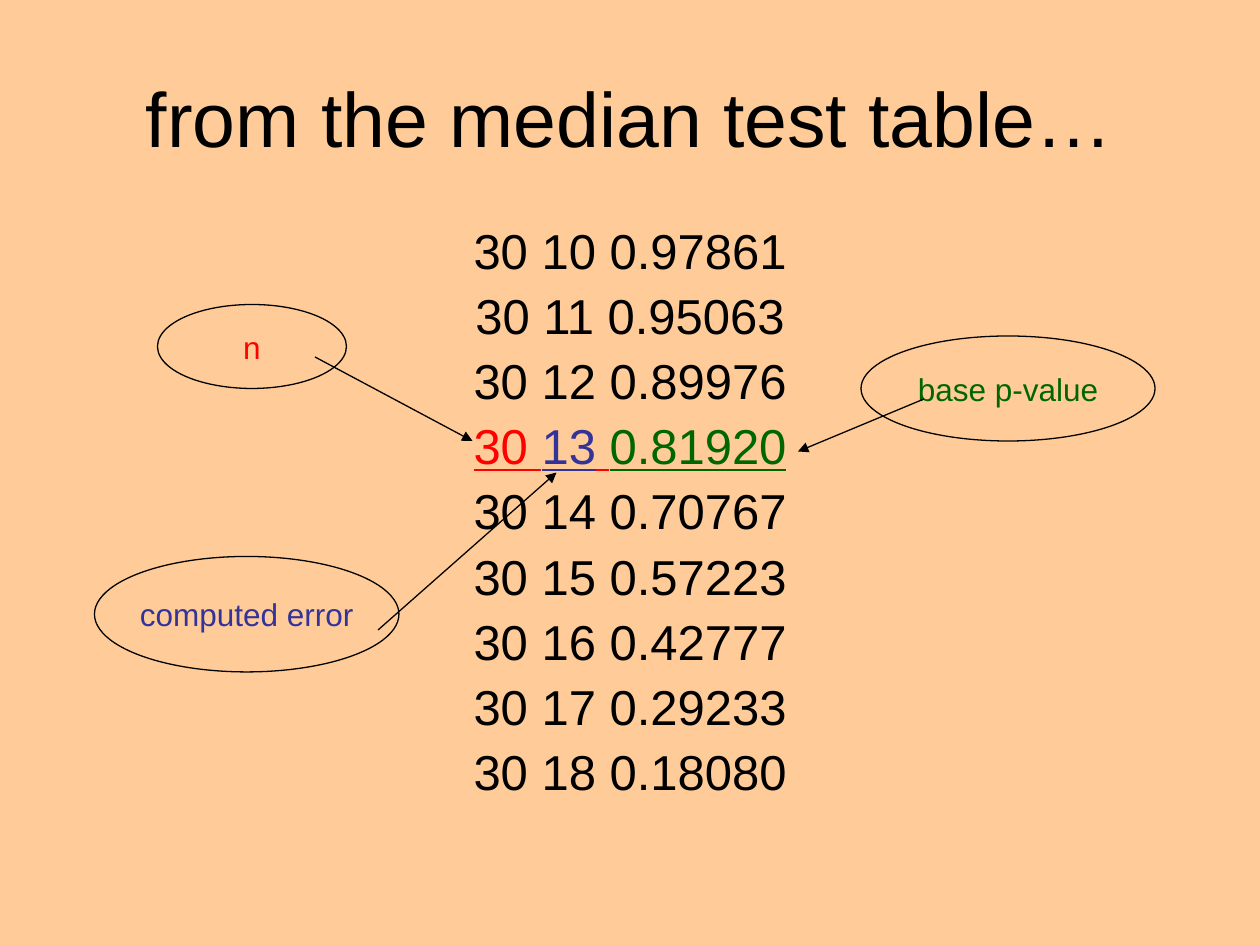
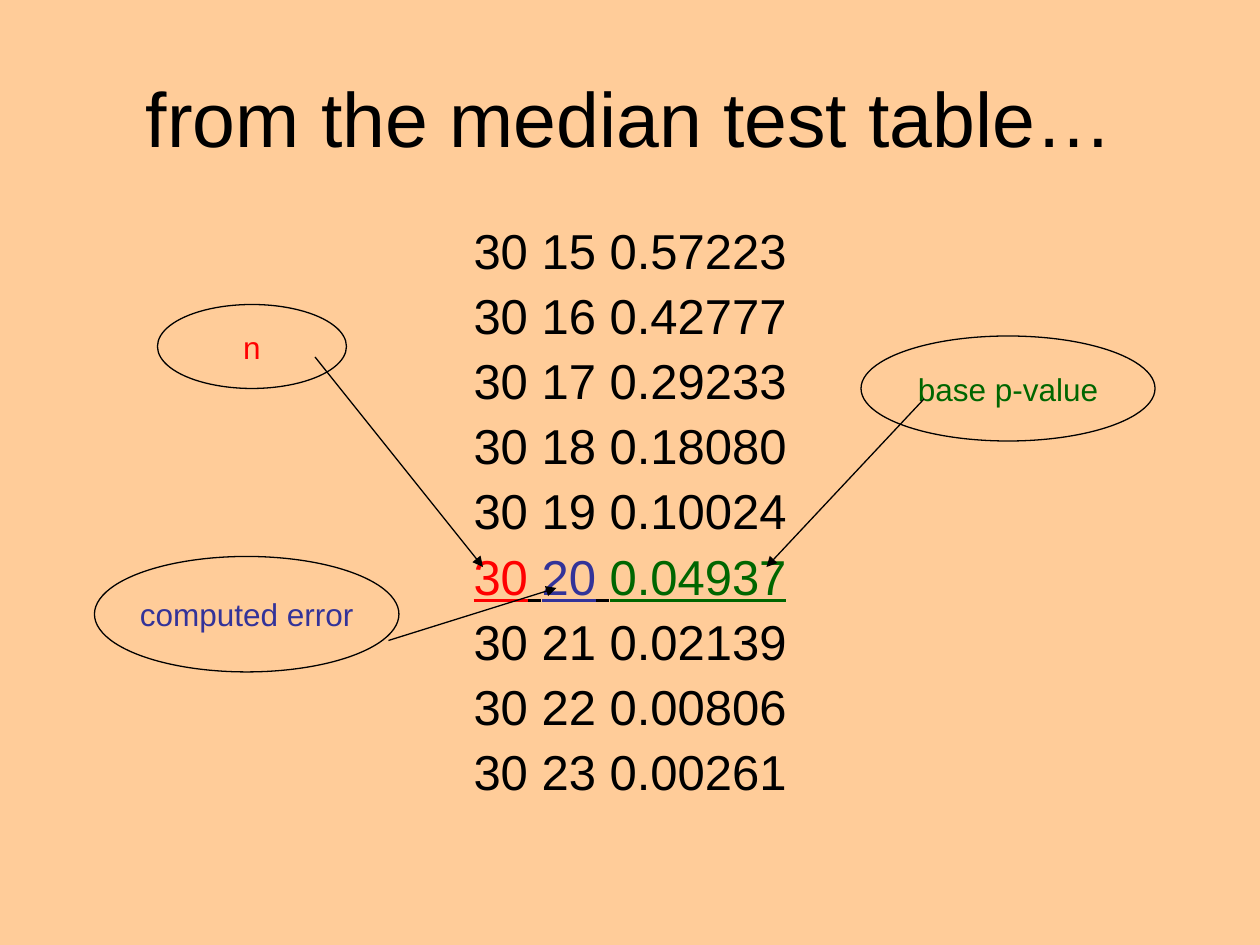
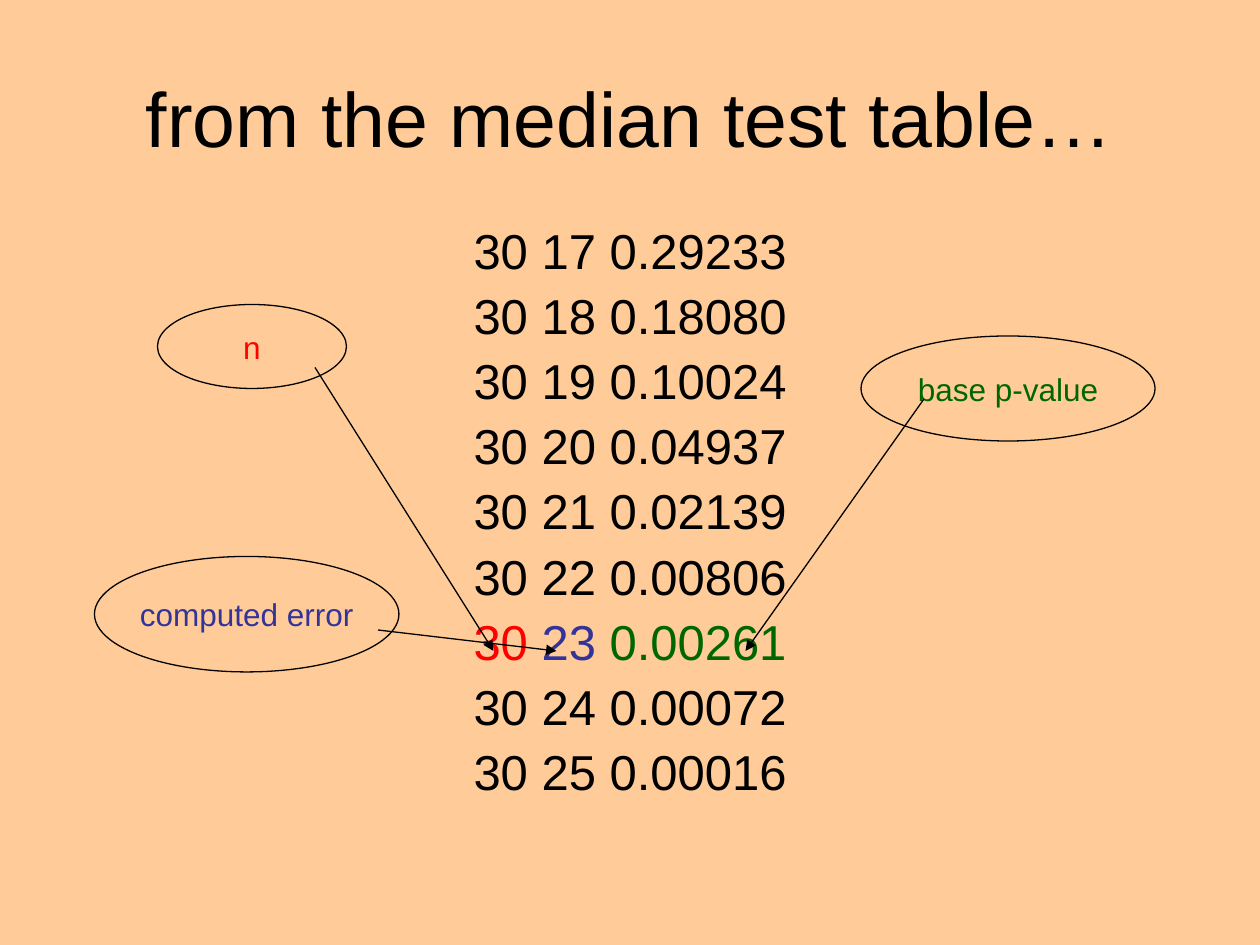
"""Build three slides that read p-values from the median test table."""
import pptx
import pptx.dml.color
import pptx.enum.shapes
import pptx.enum.text
import pptx.oxml.ns
import pptx.util
from lxml import etree

Pt = pptx.util.Pt
RGBColor = pptx.dml.color.RGBColor
ALIGN = pptx.enum.text.PP_ALIGN
ANCHOR = pptx.enum.text.MSO_ANCHOR

PEACH = RGBColor(0xFF, 0xCC, 0x99)
BLACK = RGBColor(0x00, 0x00, 0x00)
RED = RGBColor(0xFF, 0x00, 0x00)
INDIGO = RGBColor(0x33, 0x33, 0x99)
GREEN = RGBColor(0x00, 0x66, 0x00)

SAMPLE_SIZE = "30"
ROWS_SHOWN = 9
FIRST_ERROR = 10
P_VALUES = [
    "0.97861", "0.95063", "0.89976", "0.81920", "0.70767", "0.57223",
    "0.42777", "0.29233", "0.18080", "0.10024", "0.04937", "0.02139",
    "0.00806", "0.00261", "0.00072", "0.00016",
]

CALLOUTS = [
    ("n", RED, (90, 174, 108, 48)),
    ("computed error", INDIGO, (54, 318, 174, 66)),
    ("base p-value", GREEN, (492, 192, 168, 60)),
]

SLIDES = [
    {"first": 10, "chosen": 13, "underline": True, "gap_color": RED,
     "arrows": [(180, 204, 270, 252), (216, 360, 318, 270), (528, 228, 456, 258)]},
    {"first": 15, "chosen": 20, "underline": True, "gap_color": BLACK,
     "arrows": [(180, 204, 276, 324), (222, 366, 318, 336), (528, 228, 438, 324)]},
    {"first": 17, "chosen": 23, "underline": False, "gap_color": BLACK,
     "arrows": [(180, 210, 282, 372), (216, 360, 318, 372), (528, 228, 426, 372)]},
]


def add_span(para, text, *, size, color=BLACK, underline=False):
    """Add a formatted run of text to a paragraph."""
    span = para.add_run()
    span.text = text
    span.font.name = "Arial"
    span.font.size = Pt(size)
    span.font.color.rgb = color
    if underline:
        span.font.underline = True


def add_element(parent, tag, **attributes):
    """Append a drawing element to an XML parent."""
    return etree.SubElement(parent, pptx.oxml.ns.qn(tag), attributes)


class TableDeck:
    """Hold the deck style and the current slide."""

    def __init__(self):
        """Start a deck with a coloured master background."""
        self.deck = pptx.Presentation()
        self.deck.slide_width = Pt(720)
        self.deck.slide_height = Pt(540)
        fill = self.deck.slide_master.background.fill
        fill.solid()
        fill.fore_color.rgb = PEACH
        self.page = None

    def add_page(self):
        """Start a new slide with a title and a body."""
        self.page = self.deck.slides.add_slide(self.deck.slide_layouts[1])

    def place(self, box, left, top, width, height, anchor):
        """Position a text shape and set its frame."""
        box.left, box.top, box.width, box.height = map(Pt, (left, top, width, height))
        frame = box.text_frame
        frame.auto_size = pptx.enum.text.MSO_AUTO_SIZE.NONE
        frame.vertical_anchor = anchor
        frame.margin_left = frame.margin_right = Pt(7.2)
        frame.margin_top = frame.margin_bottom = Pt(3.6)
        frame.paragraphs[0].alignment = ALIGN.CENTER
        return frame

    def title(self, text):
        """Fill the title placeholder."""
        frame = self.place(self.page.shapes.title, 36, 21.6, 648, 90, ANCHOR.MIDDLE)
        add_span(frame.paragraphs[0], text, size=44)

    def rows(self, first, chosen, underline, gap_color):
        """List table rows in the body and highlight the chosen one."""
        frame = self.place(self.page.placeholders[1], 36, 126, 648, 356.4, ANCHOR.TOP)
        for error in range(first, first + ROWS_SHOWN):
            is_first = error == first
            para = frame.paragraphs[0] if is_first else frame.add_paragraph()
            para.alignment = ALIGN.CENTER
            para.line_spacing = 0.9
            para.space_before = Pt(0 if is_first else 7)
            properties = para._p.get_or_add_pPr()
            properties.set("marL", str(Pt(27)))
            properties.set("indent", str(Pt(-27)))
            add_element(properties, "a:buNone")
            cells = (SAMPLE_SIZE, str(error), P_VALUES[error - FIRST_ERROR])
            if error != chosen:
                add_span(para, " ".join(cells), size=28)
                continue
            for column, (cell, color) in enumerate(zip(cells, (RED, INDIGO, GREEN))):
                if column:
                    add_span(para, " ", size=28, color=gap_color, underline=underline)
                add_span(para, cell, size=28, color=color, underline=underline)

    def callout(self, text, color, bounds):
        """Draw an outlined ellipse with a coloured label."""
        ellipse = pptx.enum.shapes.MSO_SHAPE.OVAL
        box = self.page.shapes.add_shape(ellipse, *map(Pt, bounds))
        box.shadow.inherit = False
        box.fill.background()
        box.line.color.rgb = BLACK
        box.line.width = Pt(0.75)
        frame = self.place(box, *bounds, ANCHOR.MIDDLE)
        frame.word_wrap = False
        add_span(frame.paragraphs[0], text, size=18, color=color)

    def arrow(self, ends):
        """Draw a thin line with a triangle at its end."""
        straight = pptx.enum.shapes.MSO_CONNECTOR.STRAIGHT
        line = self.page.shapes.add_connector(straight, *map(Pt, ends))
        line.line.color.rgb = BLACK
        line.line.width = Pt(0.75)
        add_element(line.line._get_or_add_ln(), "a:tailEnd", type="triangle")
        add_element(line._element.spPr, "a:effectLst")


def main():
    """Build the slides and save the deck."""
    builder = TableDeck()
    for content in SLIDES:
        builder.add_page()
        builder.title("from the median test table…")
        builder.rows(content["first"], content["chosen"],
                     content["underline"], content["gap_color"])
        for callout, ends in zip(CALLOUTS, content["arrows"]):
            builder.callout(*callout)
            builder.arrow(ends)
    builder.deck.save("out.pptx")


if __name__ == "__main__":
    main()
